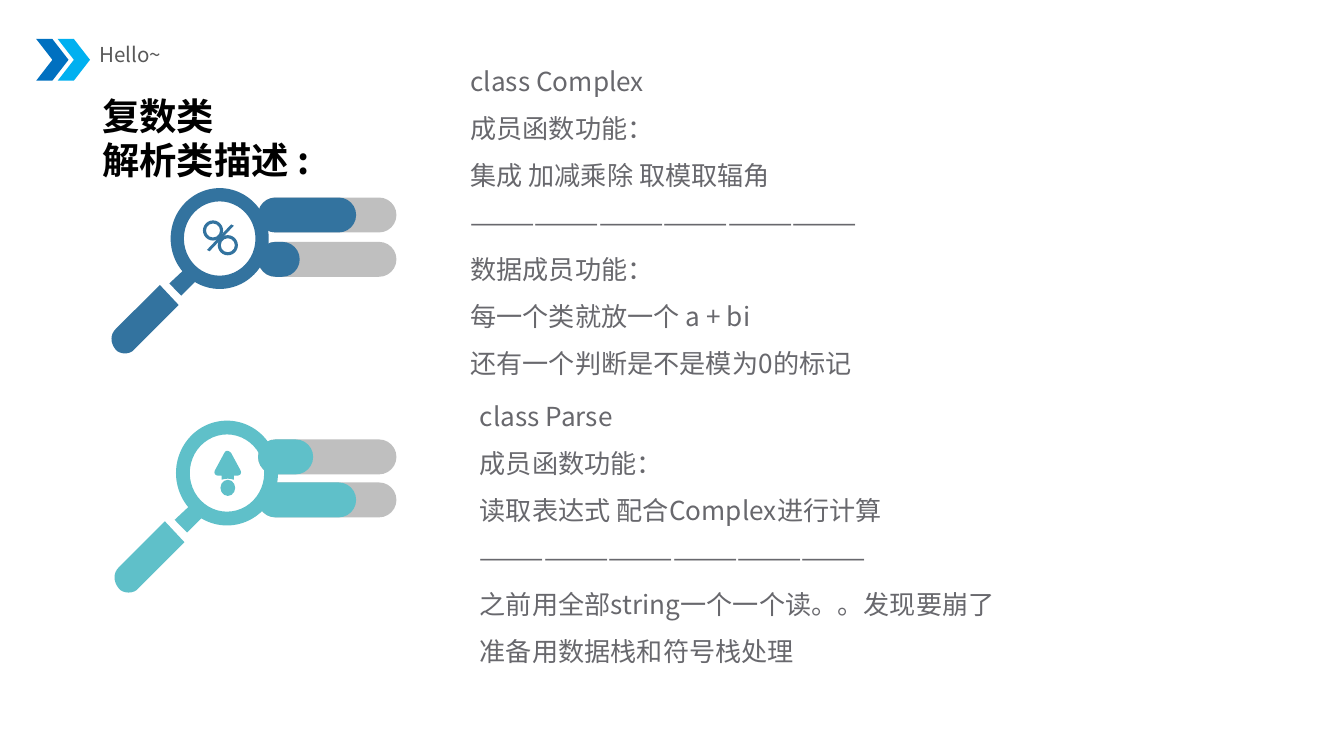
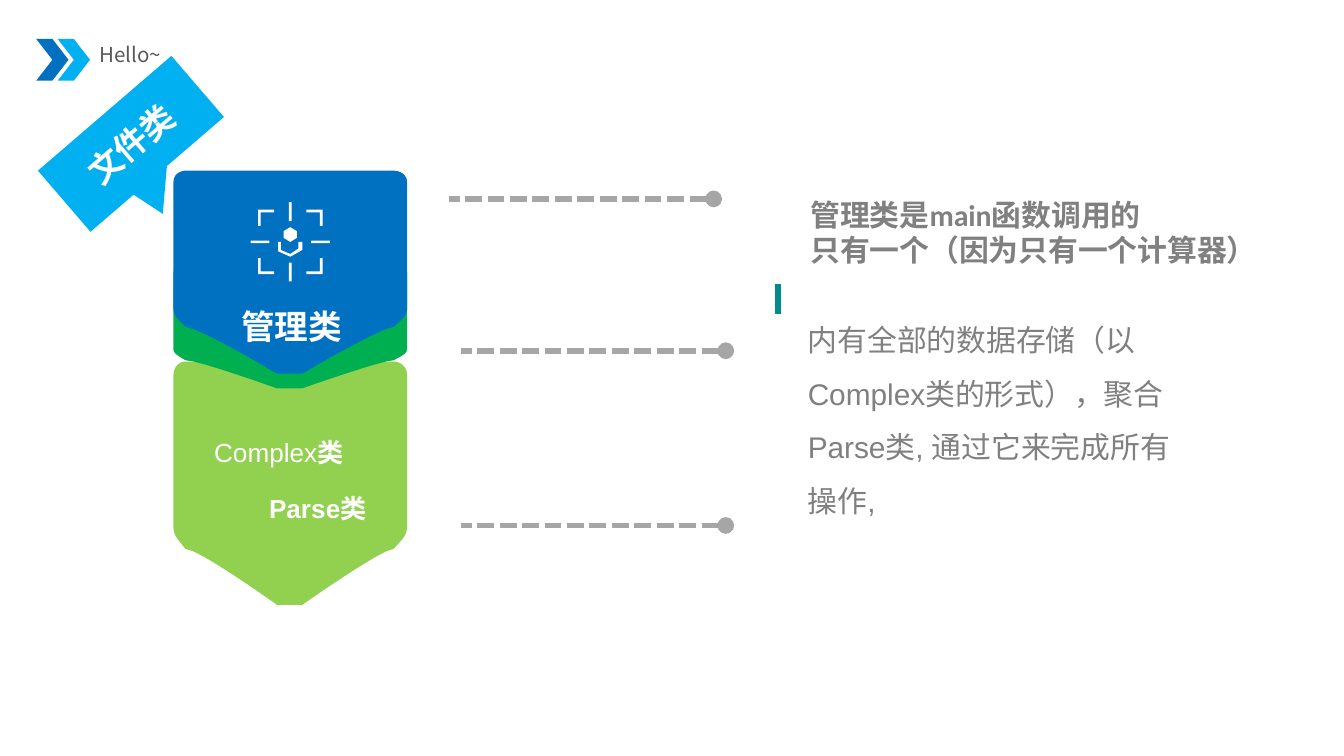
import pptx
import pptx.util
import pptx.dml.color
import pptx.enum.shapes
import pptx.enum.text
import pptx.oxml.ns
from lxml import etree

Inches, qn = pptx.util.Inches, pptx.oxml.ns.qn
KIND = pptx.enum.shapes.MSO_SHAPE
ALIGN = pptx.enum.text.PP_ALIGN
ANCHOR = pptx.enum.text.MSO_ANCHOR

# Shared look
COLORS = {
    "blue": "0070C0", "sky": "00B0F0", "steel": "33739F", "aqua": "5FC0C9",
    "track": "BFBFBF", "green": "00B050", "lime": "92D050", "dash": "A6A6A6",
    "teal": "008C8A", "white": "FFFFFF", "black": "000000",
    "hello": "595959", "body": "68686D", "gray": "808080",
}
CJK = "Noto Sans CJK SC"

# Content
HELLO = "Hello~"
RULE = "—" * 18
CLASSES_TITLE = ["复数类", "解析类描述 :"]
COMPLEX_NOTES = ["class Complex", "成员函数功能：", "集成 加减乘除 取模取辐角", RULE,
                 "数据成员功能：", "每一个类就放一个 a + bi", "还有一个判断是不是模为0的标记"]
PARSE_NOTES = ["class Parse", "成员函数功能：", "读取表达式 配合Complex进行计算", RULE,
               "之前用全部string一个一个读。。发现要崩了", "准备用数据栈和符号栈处理"]
MANAGER_TITLE = ["管理类是main函数调用的", "只有一个（因为只有一个计算器）"]
MANAGER_NOTES = ["内有全部的数据存储（以Complex类的形式），聚合Parse类, 通过它来完成所有操作,"]
# top, filled width, colour
BARS = [(1.47, 0.73, "steel"), (1.8, 0.31, "steel"),
        (3.27, 0.41, "aqua"), (3.59, 0.73, "aqua")]
# lens left, lens top, scale, colour
MAGNIFIERS = [(1.27, 1.4, 1, "steel"), (1.31, 3.13, 1.04, "aqua")]
# top, height, colour
BANNERS = [(2.69, 1.81, "lime"), (1.98, 0.91, "green"), (1.27, 1.51, "blue")]
# right end, height on the slide
LEADERS = [(5.31, 1.48), (5.4, 2.61), (5.4, 3.91)]

# Outlines: a pair is a corner, six numbers are a Bezier curve
NECK = [(0.22, 0.66), (0.08, 0.8), (-0.01, 0.71), (0.14, 0.57)]
HANDLE = [(-0.08, 0.72), (-0.41, 1.05), (-0.45, 1.09, -0.45, 1.15, -0.41, 1.2),
          (-0.38, 1.24, -0.3, 1.24, -0.27, 1.2), (0.06, 0.87)]
SLASH = [(1.74, 1.68), (1.56, 1.87), (1.54, 1.86), (1.72, 1.67)]
ARROW = [(1.72, 3.37), (1.7, 3.35, 1.68, 3.35, 1.67, 3.37), (1.6, 3.5),
         (1.59, 3.52, 1.6, 3.54, 1.63, 3.54), (1.65, 3.54), (1.65, 3.57),
         (1.68, 3.56, 1.71, 3.56, 1.74, 3.57), (1.74, 3.54), (1.76, 3.54),
         (1.79, 3.54, 1.8, 3.52, 1.79, 3.5)]
BANNER = [(1.64, 0), (1.64, 0, 1.74, 0, 1.74, 0.06), (1.74, 0.65),
          (1.74, 0.71, 1.74, 0.71, 1.64, 0.77), (1.55, 0.77, 0.96, 1, 0.96, 1),
          (0.77, 1), (0.77, 1, 0.19, 0.77, 0.09, 0.77),
          (0, 0.71, 0, 0.71, 0, 0.65), (0, 0.06), (0, 0, 0.09, 0, 0.09, 0)]
BRACKET = [(0.12, 0.24), (0.24, 0.24), (0.24, 0.12),
           (0.22, 0.12), (0.22, 0.22), (0.12, 0.22)]
HEXAGON = [(2.16, 1.69), (2.11, 1.72), (2.11, 1.77),
           (2.16, 1.8), (2.21, 1.77), (2.21, 1.72)]
CUP = [(2.07, 1.8), (2.07, 1.87), (2.16, 1.91), (2.25, 1.86), (2.25, 1.8),
       (2.22, 1.8), (2.22, 1.85), (2.16, 1.89), (2.09, 1.86), (2.09, 1.8)]


def rgb(color):
    return pptx.dml.color.RGBColor.from_string(COLORS[color])


def paint(shape, color):
    shape.shadow.inherit = False
    shape.fill.solid()
    shape.fill.fore_color.rgb = rgb(color)
    shape.line.fill.background()
    return shape


def add_preset(slide, kind, left, top, width, height, color, rotation=0, adjust=None):
    shape = slide.shapes.add_shape(kind, *map(Inches, (left, top, width, height)))
    shape.rotation = rotation
    if adjust is not None:
        shape.adjustments[0] = adjust
    return paint(shape, color)


def add_outline(slide, outline, color, left=0, top=0, sx=1, sy=1, steps=8):
    points = []
    for node in outline:
        if len(node) == 2:
            points.append(node)
            continue
        (x0, y0), (x1, y1, x2, y2, x3, y3) = points[-1], node
        for i in range(1, steps + 1):
            t = i / steps
            a, b, c, d = (1 - t) ** 3, 3 * t * (1 - t) ** 2, 3 * t * t * (1 - t), t ** 3
            points.append((a * x0 + b * x1 + c * x2 + d * x3,
                           a * y0 + b * y1 + c * y2 + d * y3))
    spots = [(Inches(left + x * sx), Inches(top + y * sy)) for x, y in points]
    builder = slide.shapes.build_freeform(*spots[0], scale=1.0)
    builder.add_line_segments(spots[1:], close=True)
    return paint(builder.convert_to_shape(), color)


def add_line(slide, x1, y1, x2, y2, color, dotted=False):
    line = slide.shapes.add_connector(pptx.enum.shapes.MSO_CONNECTOR.STRAIGHT,
                                      *map(Inches, (x1, y1, x2, y2)))
    line.line.color.rgb = rgb(color)
    line.line.width = pptx.util.Pt(3)
    properties = line.element.spPr
    if dotted:
        stroke = properties.find(qn("a:ln"))
        etree.SubElement(stroke, qn("a:prstDash"), val="sysDash")
        etree.SubElement(stroke, qn("a:headEnd"), type="oval")
    etree.SubElement(properties, qn("a:effectLst"))


def write(shape, paragraphs, size, color, font=CJK, bold=False, align=ALIGN.LEFT,
          spacing=1.0, anchor=ANCHOR.TOP, wrap=True, inset=(0.07, 0.04), box=None):
    """A paragraph is a string or a list of (text, bold) runs."""
    if box:
        shape.left, shape.top, shape.width, shape.height = map(Inches, box)
    frame = shape.text_frame
    frame.auto_size = pptx.enum.text.MSO_AUTO_SIZE.NONE
    frame.word_wrap, frame.vertical_anchor = wrap, anchor
    frame.margin_left, frame.margin_top = map(Inches, inset)
    frame.margin_right, frame.margin_bottom = Inches(0.07), Inches(0.04)
    for i, content in enumerate(paragraphs):
        paragraph = frame.add_paragraph() if i else frame.paragraphs[0]
        paragraph.alignment, paragraph.line_spacing = align, spacing
        paragraph.space_before = paragraph.space_after = pptx.util.Pt(0)
        layout = paragraph._p.get_or_add_pPr()
        layout.set("marL", "0")
        layout.set("indent", "0")
        etree.SubElement(layout, qn("a:buNone"))
        for text, heavy in [(content, bold)] if isinstance(content, str) else content:
            run = paragraph.add_run()
            run.text = text
            run.font.size, run.font.bold = pptx.util.Pt(size), heavy
            run.font.color.rgb = rgb(color)
            run.font.name = font
            etree.SubElement(run._r.get_or_add_rPr(), qn("a:ea"), typeface=CJK)


def add_text(slide, box, paragraphs, size, color, **style):
    write(slide.shapes.add_textbox(*map(Inches, box)), paragraphs, size, color, **style)


# Widescreen deck, 16:9
deck = pptx.Presentation()
deck.slide_width, deck.slide_height = Inches(10), Inches(10 * 9 / 16)
layout = deck.slide_layouts[3]
classes = deck.slides.add_slide(layout)
manager = deck.slides.add_slide(layout)

# Header, moved to the layout that both slides share
placeholder_count = len(classes.shapes)
add_text(classes, (0.67, 0.27, 1.96, 0.26), [HELLO], 11, "hello")
for left, color in [(0.27, "blue"), (0.43, "sky")]:
    add_preset(classes, KIND.CHEVRON, left, 0.29, 0.24, 0.31, color)
for part in list(classes.shapes)[placeholder_count:]:
    layout.shapes.element.append(part.element)

# Slide 1: bars and magnifiers
for top, filled, color in BARS:
    for width, shade in [(1.03, "track"), (filled, color)]:
        add_preset(classes, KIND.ROUNDED_RECTANGLE, 1.92, top, width, 0.26, shade, adjust=0.5)
for left, top, scale, color in MAGNIFIERS:
    for outline in (NECK, HANDLE):
        add_outline(classes, outline, color, left, top, scale, scale)
    add_preset(classes, KIND.DONUT, left, top, 0.73 * scale, 0.75 * scale, color, adjust=0.135)
for left, top in [(1.51, 1.64), (1.62, 1.75)]:
    add_preset(classes, KIND.DONUT, left, top, 0.15, 0.15, "steel", adjust=0.15)
add_outline(classes, SLASH, "steel")
add_outline(classes, ARROW, "aqua")
add_preset(classes, KIND.OVAL, 1.64, 3.57, 0.11, 0.12, "aqua")

# Slide 1: title and class notes
write(classes.shapes.title, CLASSES_TITLE, 20, "black", bold=True, wrap=False,
      box=(0.69, 0.65, 1.72, 0.75))
for index, notes, box in [(1, COMPLEX_NOTES, (3.43, 0.33, 3.7, 2.55)),
                          (2, PARSE_NOTES, (3.5, 2.82, 5.12, 2.19))]:
    write(classes.placeholders[index], notes, 14, "body", spacing=1.5, box=box)

# Slide 2: stacked banners with labels
for top, height, color in BANNERS:
    add_outline(manager, BANNER, color, 1.29, top, 1, height)
label = dict(font="Arial", align=ALIGN.CENTER, spacing=1.3)
add_text(manager, (1.62, 2.15, 1.1, 0.47), ["管理类"], 18, "white", bold=True, **label)
add_text(manager, (1.3, 3.07, 1.41, 0.47), [[("Complex", False), ("类", True)]], 14, "white",
         inset=(0.21, 0.11), **label)
add_text(manager, (1.76, 3.55, 1.1, 0.35), ["Parse类"], 14, "white", bold=True,
         inset=(0.18, 0.04), **label)

# Slide 2: target icon, mirrored around its centre
cx, cy = 2.16, 1.8
for sx in (-1, 1):
    for sy in (-1, 1):
        add_outline(manager, BRACKET, "white", cx, cy, sx, sy)
for side in (-1, 1):
    middle = side * 0.225
    add_preset(manager, KIND.RECTANGLE, cx + middle - 0.07, cy - 0.01, 0.14, 0.02, "white")
    add_preset(manager, KIND.RECTANGLE, cx - 0.01, cy + middle - 0.07, 0.02, 0.14, "white")
for outline in (HEXAGON, CUP):
    add_outline(manager, outline, "white")

# Slide 2: leaders, accent and description
for right, y in LEADERS:
    add_line(manager, right, y, right - 1.97, y, "dash", dotted=True)
add_line(manager, 5.79, 2.11, 5.79, 2.34, "teal")
write(manager.shapes.title, MANAGER_TITLE, 16, "gray", font="Calibri", bold=True,
      wrap=False, box=(5.96, 1.42, 3.51, 0.61))
write(manager.placeholders[1], MANAGER_NOTES, 16, "gray", font="Arial", spacing=1.5,
      box=(5.94, 2.22, 2.84, 1.69))
unused = manager.placeholders[2].element
unused.getparent().remove(unused)

# Slide 2: tilted callout
add_preset(manager, KIND.ISOSCELES_TRIANGLE, 0.91, 1.24, 0.44, 0.37, "sky", rotation=154.2)
callout = add_preset(manager, KIND.RECTANGLE, 0.32, 0.77, 1.31, 0.6, "sky", rotation=319.3)
write(callout, ["文件类"], 18, "white", bold=True, align=ALIGN.CENTER, anchor=ANCHOR.MIDDLE)

deck.save("out.pptx")
